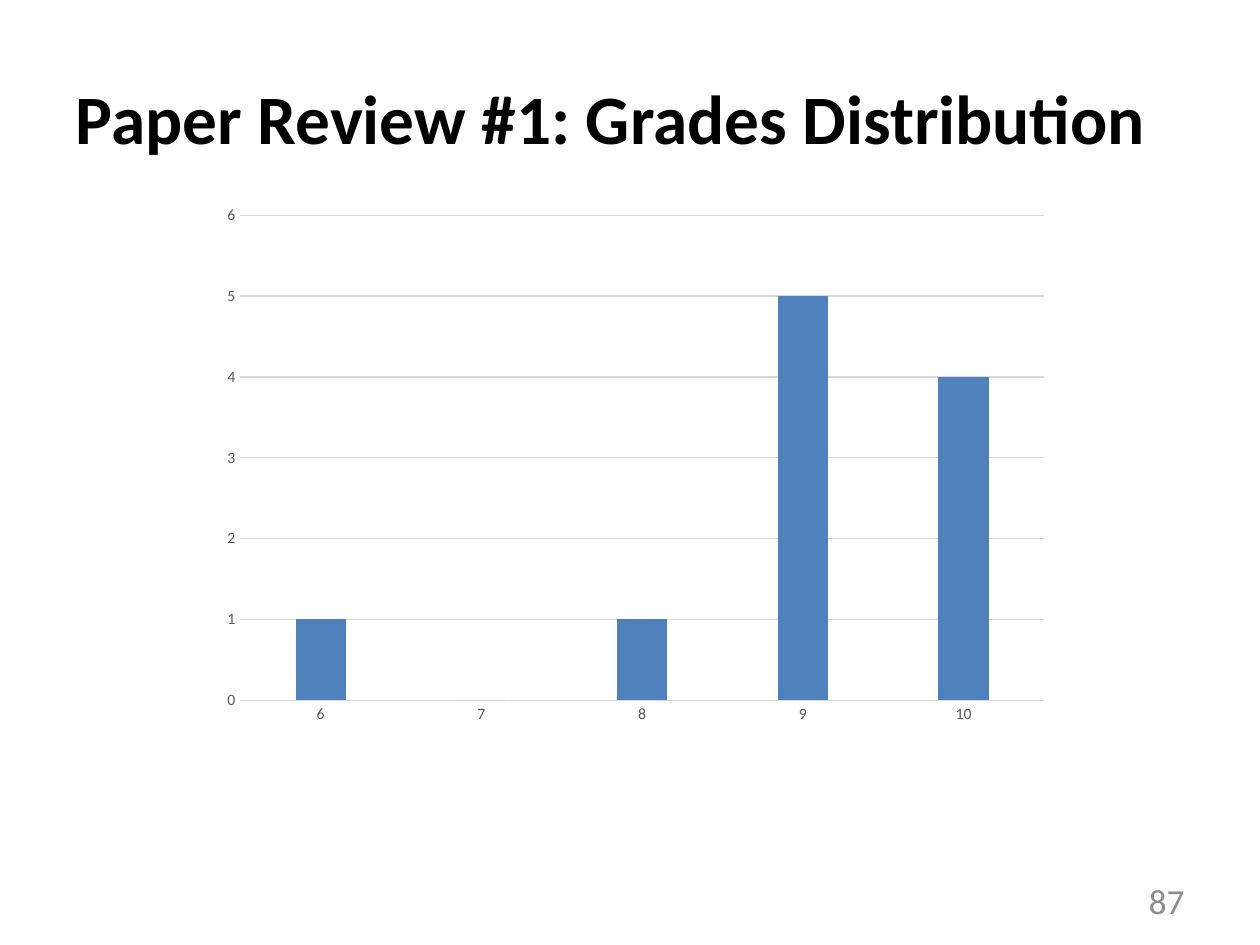
import pptx
import pptx.chart.data
import pptx.dml.color
import pptx.enum.chart
import pptx.enum.text
import pptx.util

Inches, Pt = pptx.util.Inches, pptx.util.Pt
RGBColor = pptx.dml.color.RGBColor
Align = pptx.enum.text.PP_ALIGN
Tick = pptx.enum.chart.XL_TICK_MARK

TITLE = "Paper Review #1: Grades Distribution"
NUMBER = "87"
GRADES = {"6": 1, "7": 0, "8": 1, "9": 5, "10": 4}

FONT = "Calibri"
BLACK = RGBColor(0, 0, 0)
GRAY = RGBColor(0x8C, 0x8C, 0x8C)
DARK = RGBColor(0x59, 0x59, 0x59)
LIGHT = RGBColor(0xD9, 0xD9, 0xD9)
BLUE = RGBColor(0x4F, 0x81, 0xBD)


def style(font, size, color, bold=False):
    font.name, font.size, font.bold = FONT, Pt(size), bold
    font.color.rgb = color


def write(shape, text, align, size, color, bold=False):
    frame = shape.text_frame
    frame.text = text
    frame.word_wrap = True
    frame.auto_size = pptx.enum.text.MSO_AUTO_SIZE.NONE
    frame.vertical_anchor = pptx.enum.text.MSO_ANCHOR.MIDDLE
    para = frame.paragraphs[0]
    para.alignment = align
    style(para.font, size, color, bold)


def rule(line):
    line.color.rgb = LIGHT
    line.width = Pt(0.75)


def draw(slide):
    """Add the column chart of grade counts."""
    data = pptx.chart.data.CategoryChartData()
    data.categories = list(GRADES)
    data.add_series("Series 1", list(GRADES.values()))
    chart = slide.shapes.add_chart(
        pptx.enum.chart.XL_CHART_TYPE.COLUMN_CLUSTERED,
        Inches(1.67), Inches(1.55), Inches(6.75), Inches(4.28), data).chart
    chart.has_title = False
    chart.has_legend = False
    style(chart.font, 10, BLACK)

    plot = chart.plots[0]
    plot.gap_width, plot.overlap = 219, -27
    plot.vary_by_categories = False
    fill = plot.series[0].format.fill
    fill.solid()
    fill.fore_color.rgb = BLUE

    cat, val = chart.category_axis, chart.value_axis
    for axis in (cat, val):
        axis.major_tick_mark = axis.minor_tick_mark = Tick.NONE
        style(axis.tick_labels.font, 9, DARK)
    rule(cat.format.line)
    val.format.line.fill.background()
    val.minimum_scale, val.maximum_scale, val.major_unit = 0, 6, 1
    val.has_major_gridlines = True
    rule(val.major_gridlines.format.line)


def main():
    deck = pptx.Presentation()
    deck.slide_width, deck.slide_height = Inches(10), Inches(7.5)
    slide = deck.slides.add_slide(deck.slide_layouts[5])

    title = slide.shapes.title
    title.left, title.top = Inches(0.5), Inches(0.3)
    title.width, title.height = Inches(9), Inches(1.25)
    write(title, TITLE, Align.LEFT, 39.6, BLACK, True)

    number = slide.shapes.add_textbox(
        Inches(7.17), Inches(6.95), Inches(2.33), Inches(0.4))
    write(number, NUMBER, Align.RIGHT, 20, GRAY)

    draw(slide)
    deck.save("out.pptx")


if __name__ == "__main__":
    main()
